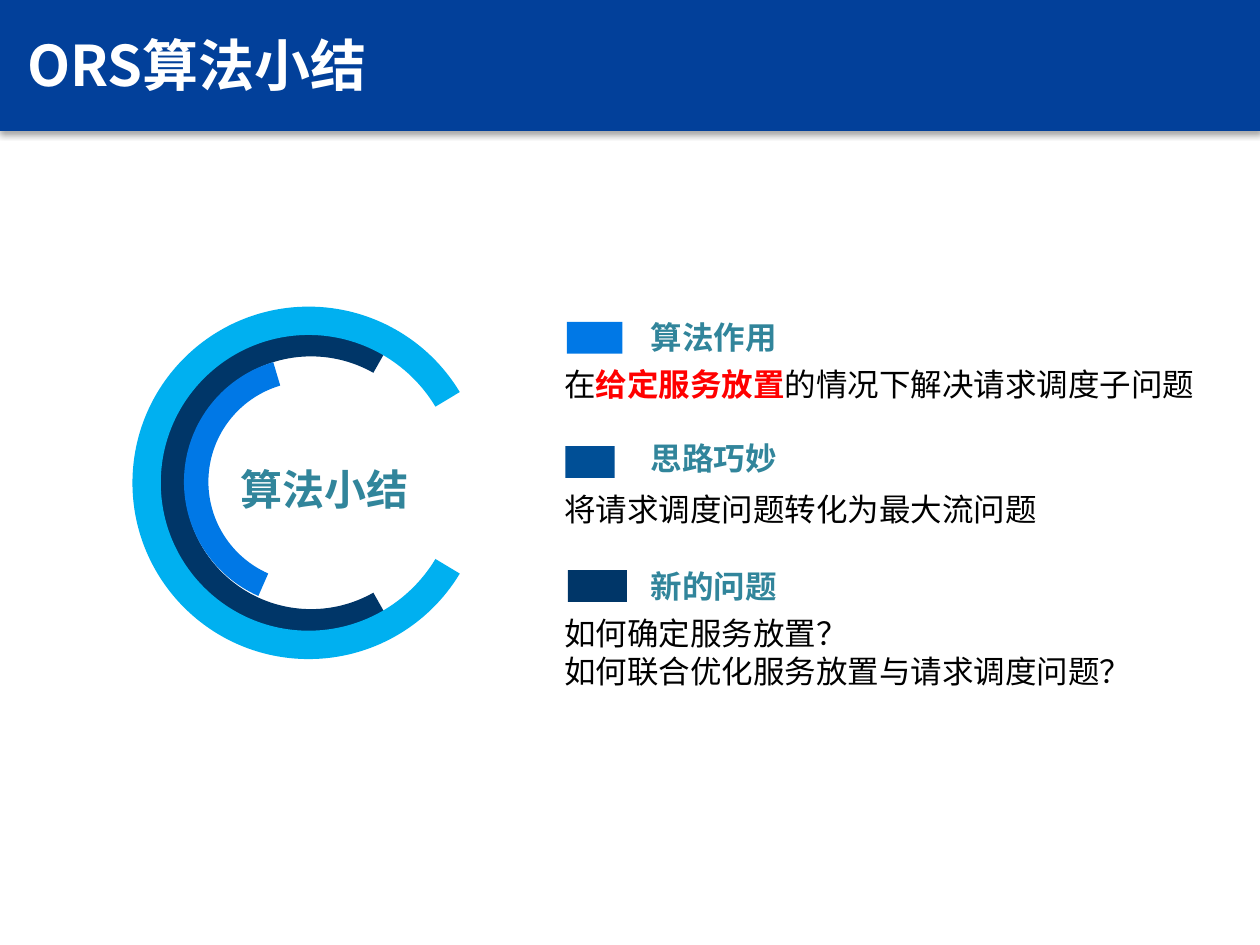
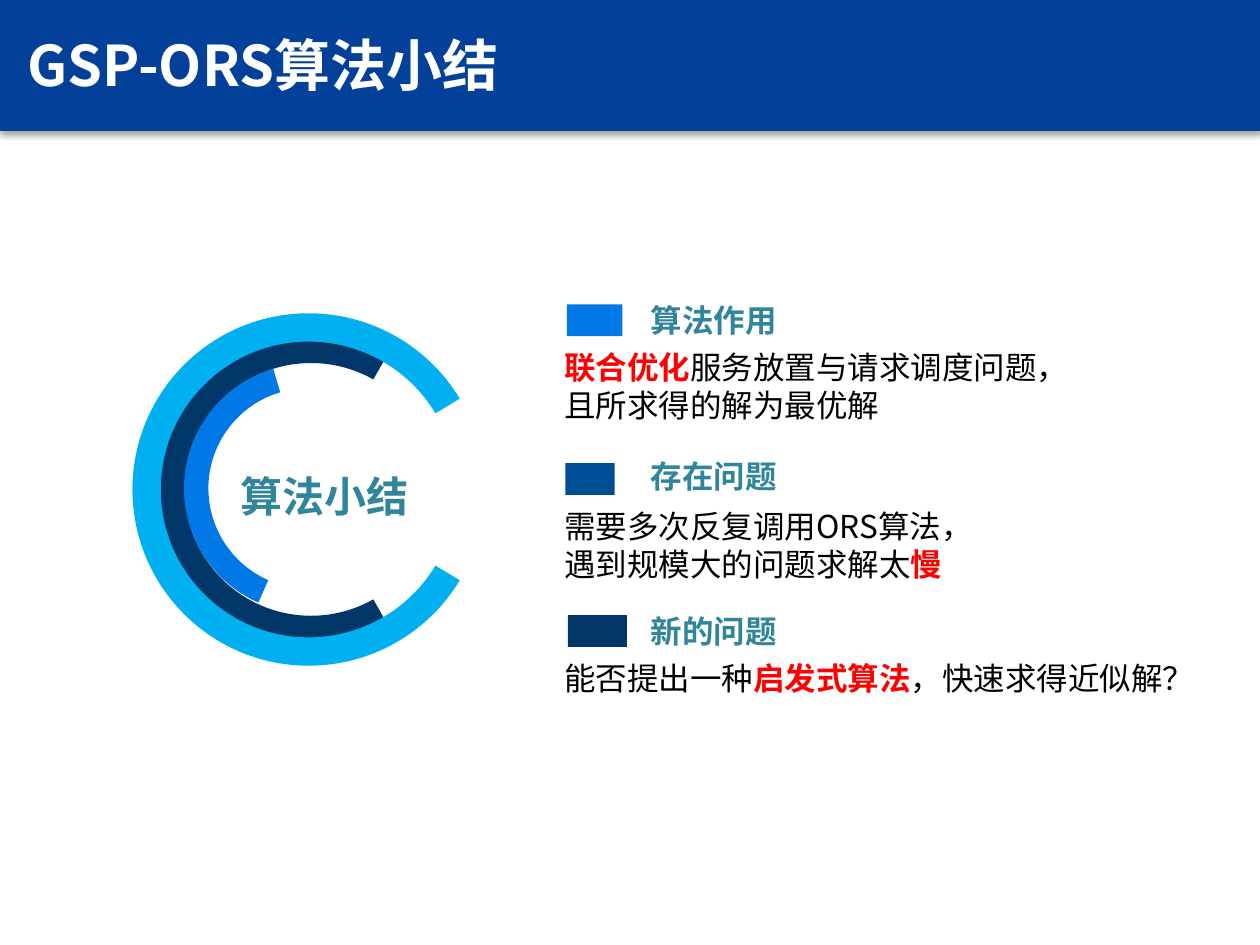
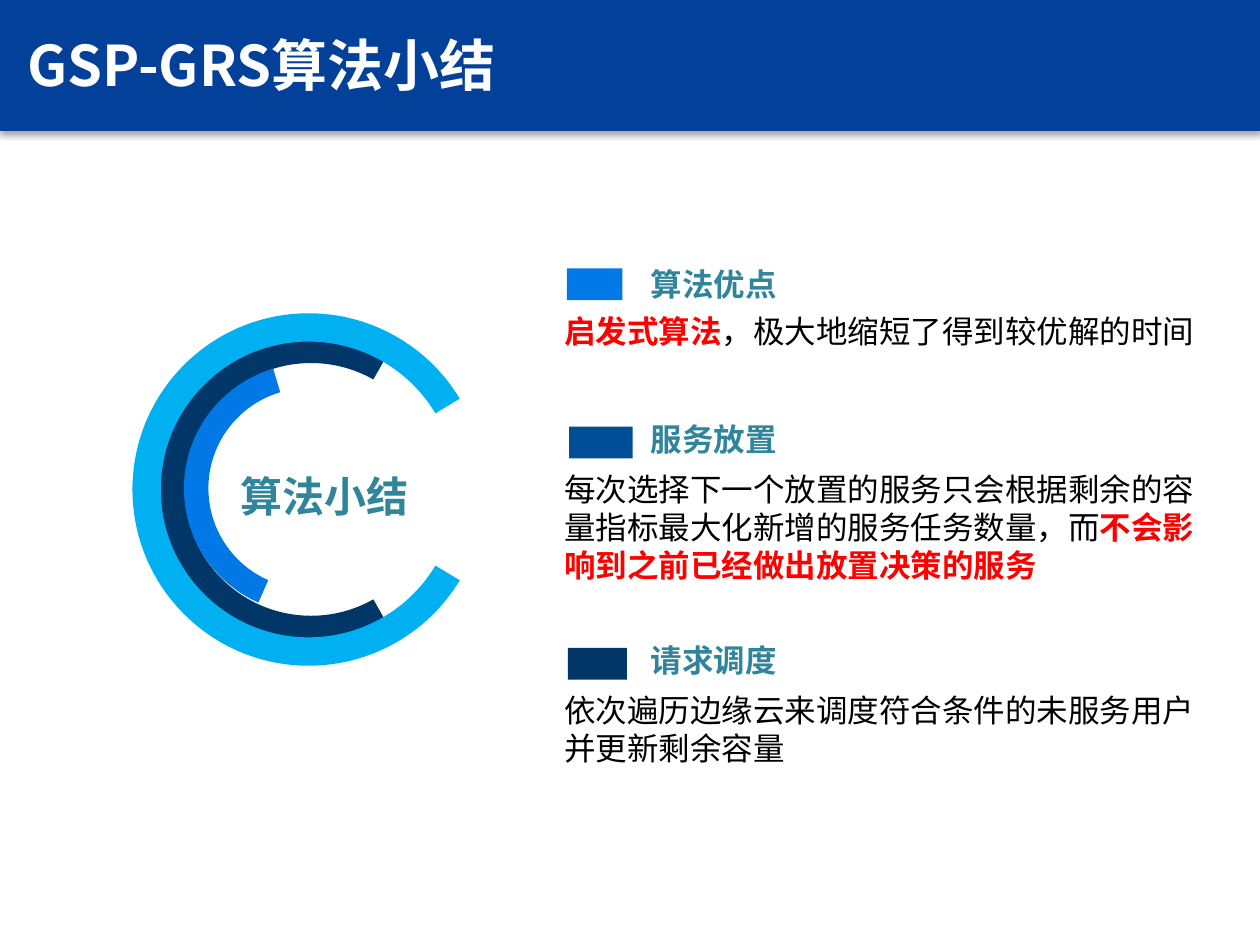
import math

from lxml import etree
from pptx import Presentation
from pptx import util as u
from pptx.dml.color import RGBColor
from pptx.enum import shapes, text
from pptx.oxml import ns

Pt = u.Pt
COLORS = {
    "band": "02409A", "title": "FFFFFF", "heading": "31859B",
    "body": "000000", "key": "FF0000",
    "bright": "0078E6", "mid": "004F96", "navy": "003668", "sky": "00B0F0",
}
CJK, LATIN = "Noto Sans CJK SC", "Quicksand"

# Run styles: font, colour, bold
STYLES = {
    "body": (CJK, "body", False),
    "key": (CJK, "key", True),
    "body_q": (LATIN, "body", False),
    "key_q": (LATIN, "key", True),
    "heading": (CJK, "heading", True),
    "title": (CJK, "title", True),
}

# Content: each block has heading, its top, chip top, chip width,
# body width, and body paragraphs made of (text, style) runs
SLIDES = [
    {"title": "ORS算法小结", "ring_y": 275.9, "blocks": [
        ("算法作用", 178.2, 183.9, 31.7, 386, [
            [("在", "body"), ("给定服务放置", "key"),
             ("的情况下解决请求调度子问题", "body")]]),
        ("思路巧妙", 247.3, 254.9, 28.2, 300, [
            [("将请求调度问题转化为最大流问题", "body")]]),
        ("新的问题", 320.4, 325.8, 33.7, 359, [
            [("如何确定服务放置？", "body_q")],
            [("如何", "body_q"), ("联合优化服务放置与请求调度问题？", "body")]]),
    ]},
    {"title": "GSP-ORS算法小结", "ring_y": 279.7, "blocks": [
        ("算法作用", 168.4, 174, 31.7, 386, [
            [("联合优化", "key"), ("服务放置与请求调度问题，", "body")],
            [("且所求得的解为最优解", "body")]]),
        ("存在问题", 257.6, 264.7, 28.2, 300, [
            [("需要多次反复调用ORS算法，", "body")],
            [("遇到规模大的问题求解太", "body"), ("慢", "key")]]),
        ("新的问题", 346.2, 351.5, 33.7, 386, [
            [("能否提出一种", "body_q"), ("启发式算法", "key"),
             ("，快速求得近似解？", "body")]]),
    ]},
    {"title": "GSP-GRS算法小结", "ring_y": 279.7, "blocks": [
        ("算法优点", 147.6, 153.4, 31.7, 386, [
            [("启发式算法", "key_q"), ("，极大地缩短了得到较优解的时间", "body")]]),
        ("服务放置", 236.5, 243.8, 36.4, 386, [
            [("每次选择下一个放置的服务只会根据剩余的容量指标最大化新增的服务任务数量，而", "body"),
             ("不会影响到之前已经做出放置决策的服务", "key")]]),
        ("请求调度", 362.6, 370.2, 33.7, 386, [
            [("依次遍历边缘云来调度符合条件的未服务用户并更新剩余容量", "body_q")]]),
    ]},
]
RING_LABEL = "算法小结"
CHIP_COLORS = ("bright", "mid", "navy")

# Rings: colour, centre x, centre shift down, outer and inner radius, start and end angle
RINGS = [
    ("navy", 177.8, 0, 86.4, 72.2, 60.5, 299.5),
    ("bright", 176.4, -0.6, 71.3, 57.3, 106.5, 246.2),
    ("sky", 176.4, 0, 100.7, 84.5, 31, 329),
]
BODY_X, HEAD_X, CHIP_H = 315.4, 364.7, 18.2
CHARS_PER_LINE = 20


def paint(sp, color):
    sp.shadow.inherit = False
    sp.fill.solid()
    sp.fill.fore_color.rgb = RGBColor.from_string(COLORS[color])
    sp.line.fill.background()


def add_rect(s, color, *box):
    sp = s.shapes.add_shape(shapes.MSO_SHAPE.RECTANGLE, *map(Pt, box))
    paint(sp, color)
    return sp


def add_text(s, paragraphs, size, *box, middle=False):
    tf = s.shapes.add_textbox(*map(Pt, box)).text_frame
    tf.word_wrap = True
    if middle:
        tf.vertical_anchor = text.MSO_ANCHOR.MIDDLE
    else:
        tf.auto_size = text.MSO_AUTO_SIZE.SHAPE_TO_FIT_TEXT
    for i, runs in enumerate(paragraphs):
        p = tf.add_paragraph() if i else tf.paragraphs[0]
        p.line_spacing = Pt(size * 1.2)
        for words, style in runs:
            font, color, bold = STYLES[style]
            r = p.add_run()
            r.text = words
            r.font.size, r.font.bold, r.font.name = Pt(size), bold, font
            r.font.color.rgb = RGBColor.from_string(COLORS[color])
            ea = etree.SubElement(r.font._element, ns.qn("a:ea"))
            ea.set("typeface", CJK)


def add_band(s, title):
    sp = add_rect(s, "band", 0, -2.2, 720, 77)
    # Soft shadow below the band
    effects = sp._element.spPr.find(ns.qn("a:effectLst"))
    shadow = etree.SubElement(effects, ns.qn("a:outerShdw"), blurRad=str(Pt(3.5)),
                              dist=str(Pt(2.2)), dir="5400000", rotWithShape="0")
    black = etree.SubElement(shadow, ns.qn("a:srgbClr"), val="000000")
    etree.SubElement(black, ns.qn("a:alpha"), val="32000")
    add_text(s, [[(title, "title")]], 32, 8.6, 8.8, 351.4, 56.2, middle=True)


def add_ring(s, ring_y, color, cx, dy, outer, inner, start, end):
    cy = ring_y + dy
    # One curve per quarter turn, out along the rim and back along the inside
    stops = [start, *(a for a in (90, 180, 270) if start < a < end), end]
    rim = [(outer, math.radians(a)) for a in stops]
    inside = [(inner, math.radians(a)) for a in stops[::-1]]
    ends = rim + inside

    def point(radius, a, pull=0):
        """Point on the circle, moved along the tangent by pull radii."""
        return (Pt(cx + radius * (math.cos(a) - pull * math.sin(a))),
                Pt(cy - radius * (math.sin(a) + pull * math.cos(a))))

    fb = s.shapes.build_freeform(*point(*ends[0]))
    fb.add_line_segments([point(*e) for e in ends[1:]], close=True)
    sp = fb.convert_to_shape()
    paint(sp, color)

    # Bend the straight segments into arcs
    segments = sp._element.findall(".//" + ns.qn("a:lnTo"))
    for (r0, a0), (r1, a1), segment in zip(ends, ends[1:], segments):
        if r0 != r1:
            continue
        pull = 4 / 3 * math.tan((a1 - a0) / 4)
        segment.tag = ns.qn("a:cubicBezTo")
        for i, (x, y) in enumerate((point(r0, a0, pull), point(r1, a1, -pull))):
            control = etree.Element(ns.qn("a:pt"), x=str(x - sp.left), y=str(y - sp.top))
            segment.insert(i, control)


def add_block(s, chip_color, heading, head_y, chip_y, chip_w, body_w, body):
    add_rect(s, chip_color, BODY_X + 0.27 * chip_w, chip_y, chip_w, CHIP_H)
    lines = sum(math.ceil(sum(len(words) for words, _ in runs) / CHARS_PER_LINE)
                for runs in body)
    add_text(s, body, 18, BODY_X, chip_y + 21.4, body_w, 7.2 + 21.8 * lines)
    add_text(s, [[(heading, "heading")]], 18, HEAD_X, head_y, chip_w * 5.65, 29)


def main():
    prs = Presentation()
    prs.slide_width, prs.slide_height = Pt(720), Pt(540)
    for content in SLIDES:
        s = prs.slides.add_slide(prs.slide_layouts[6])
        add_band(s, content["title"])
        # Rings with their label
        ring_y = content["ring_y"]
        for ring in RINGS:
            add_ring(s, ring_y, *ring)
        add_text(s, [[(RING_LABEL, "heading")]], 24, 130.3, ring_y - 14.6, 171.4, 36)
        # Legend blocks
        for color, block in zip(CHIP_COLORS, content["blocks"]):
            add_block(s, color, *block)
    prs.save("out.pptx")


if __name__ == "__main__":
    main()
